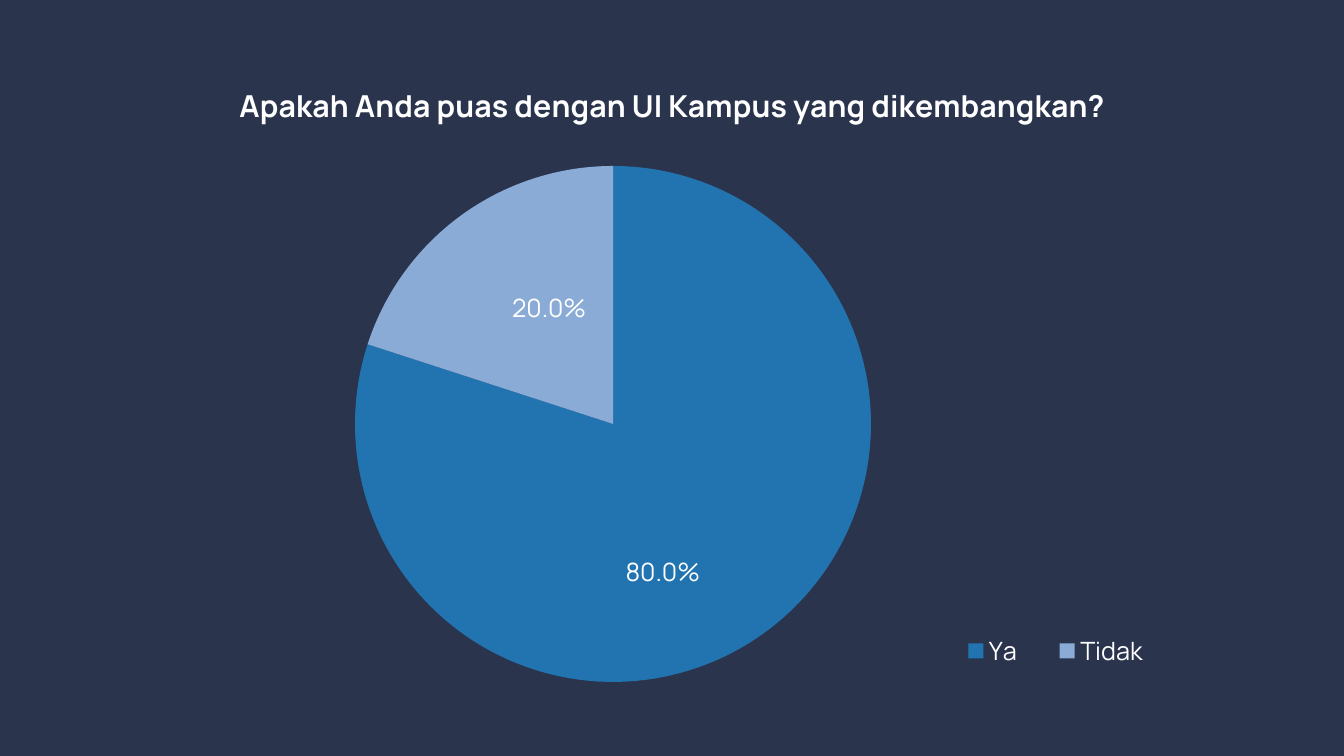
"""Build a slide with a pie chart of satisfaction with the developed interface."""
from lxml.etree import SubElement
from pptx import Presentation
from pptx.chart.data import CategoryChartData
from pptx.dml.color import RGBColor
from pptx.enum.chart import XL_CHART_TYPE, XL_LABEL_POSITION, XL_LEGEND_POSITION
from pptx.oxml import parse_xml
from pptx.oxml.ns import nsdecls, qn
from pptx.util import Emu, Pt

PX = 914400 / 100.8
NAVY = RGBColor(0x2A, 0x34, 0x4D)
BLUE = RGBColor(0x22, 0x74, 0xB1)
LIGHT_BLUE = RGBColor(0x8B, 0xAB, 0xD7)
WHITE = RGBColor(0xFF, 0xFF, 0xFF)
FONT = "Manrope"
LEFT, TOP, WIDTH, HEIGHT = 48, 57, 1238, 654


def write_text(tf, text, size=18, color=WHITE, bold=False):
    r = tf.paragraphs[0].add_run()
    r.text = text
    r.font.name = FONT
    r.font.size = Pt(size)
    r.font.bold = bold
    r.font.color.rgb = color


def place(element, index, x, y, w=None, h=None, edge=True, inner=False):
    for old in element.findall(qn("c:layout")):
        element.remove(old)
    layout = parse_xml(f"<c:layout {nsdecls('c')}><c:manualLayout/></c:layout>")
    settings = [("layoutTarget", "inner")] if inner else []
    if edge:
        settings += [("xMode", "edge"), ("yMode", "edge")]
    settings += [("x", x / WIDTH), ("y", y / HEIGHT)]
    if w:
        settings += [("w", w / WIDTH), ("h", h / HEIGHT)]
    for tag, value in settings:
        text = value if isinstance(value, str) else f"{value:.4f}"
        SubElement(layout[0], qn(f"c:{tag}")).set("val", text)
    element.insert(index, layout)


prs = Presentation()
prs.slide_width = Emu(round(1344 * PX))
prs.slide_height = Emu(round(756 * PX))
s = prs.slides.add_slide(prs.slide_layouts[6])
s.background.fill.solid()
s.background.fill.fore_color.rgb = NAVY

data = CategoryChartData(number_format="0.0%")
data.categories = ["Ya", "Tidak"]
data.add_series("Series 1", [0.8, 0.2])
box = [Emu(round(n * PX)) for n in (LEFT, TOP, WIDTH, HEIGHT)]
chart = s.shapes.add_chart(XL_CHART_TYPE.PIE, *box, data).chart
chart.font.name = FONT
chart.font.size = Pt(18)
chart.font.color.rgb = WHITE

chart.has_title = True
title = chart.chart_title
write_text(title.text_frame, "Apakah Anda puas dengan UI Kampus yang dikembangkan?",
           size=21.6, bold=True)
title.include_in_layout = False
place(title._element, 1, 186, 19)

chart.has_legend = True
legend = chart.legend
legend.position = XL_LEGEND_POSITION.RIGHT
legend.include_in_layout = False
place(legend._element, 1, 886, 574, 243, 40)

plot = chart.plots[0]
plot.vary_by_categories = True
place(chart._chartSpace.chart.plotArea, 0, 307, 109, 516, 516, inner=True)

series = plot.series[0]
labels = series.data_labels
labels.show_value = True
labels.show_percentage = False
labels.number_format = "0.0%"
labels.number_format_is_linked = False
labels.position = XL_LABEL_POSITION.CENTER

for i, (color, dx, dy) in enumerate([(BLUE, -26, 43), (LIGHT_BLUE, 12, -12)]):
    point = series.points[i]
    point.format.fill.solid()
    point.format.fill.fore_color.rgb = color
    point.format.line.fill.background()
    label = point.data_label
    label.position = XL_LABEL_POSITION.CENTER
    label.font.name = FONT
    label.font.size = Pt(18)
    label.font.color.rgb = WHITE
    place(labels._element.findall(qn("c:dLbl"))[i], 1, dx, dy, edge=False)

prs.save("out.pptx")
